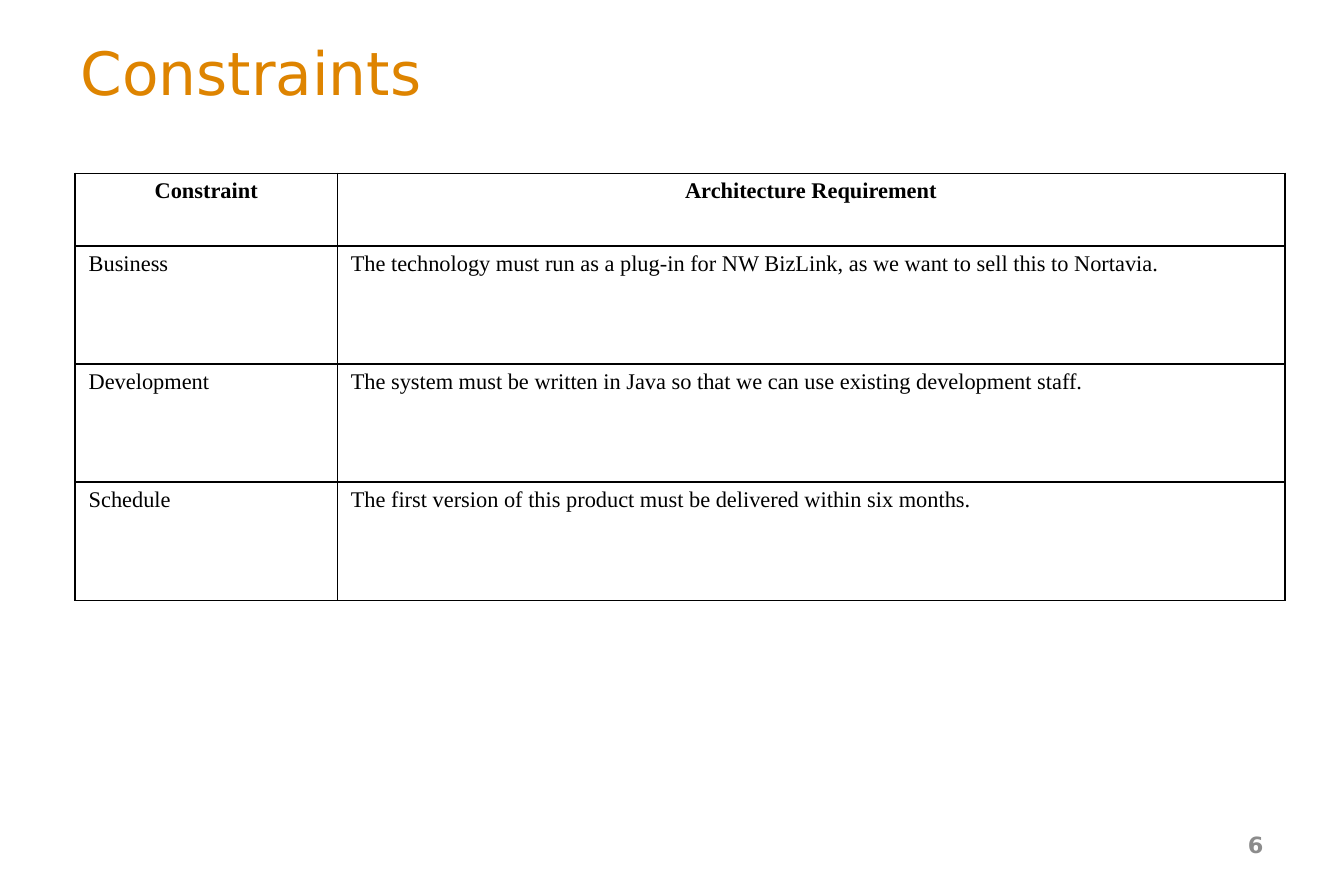
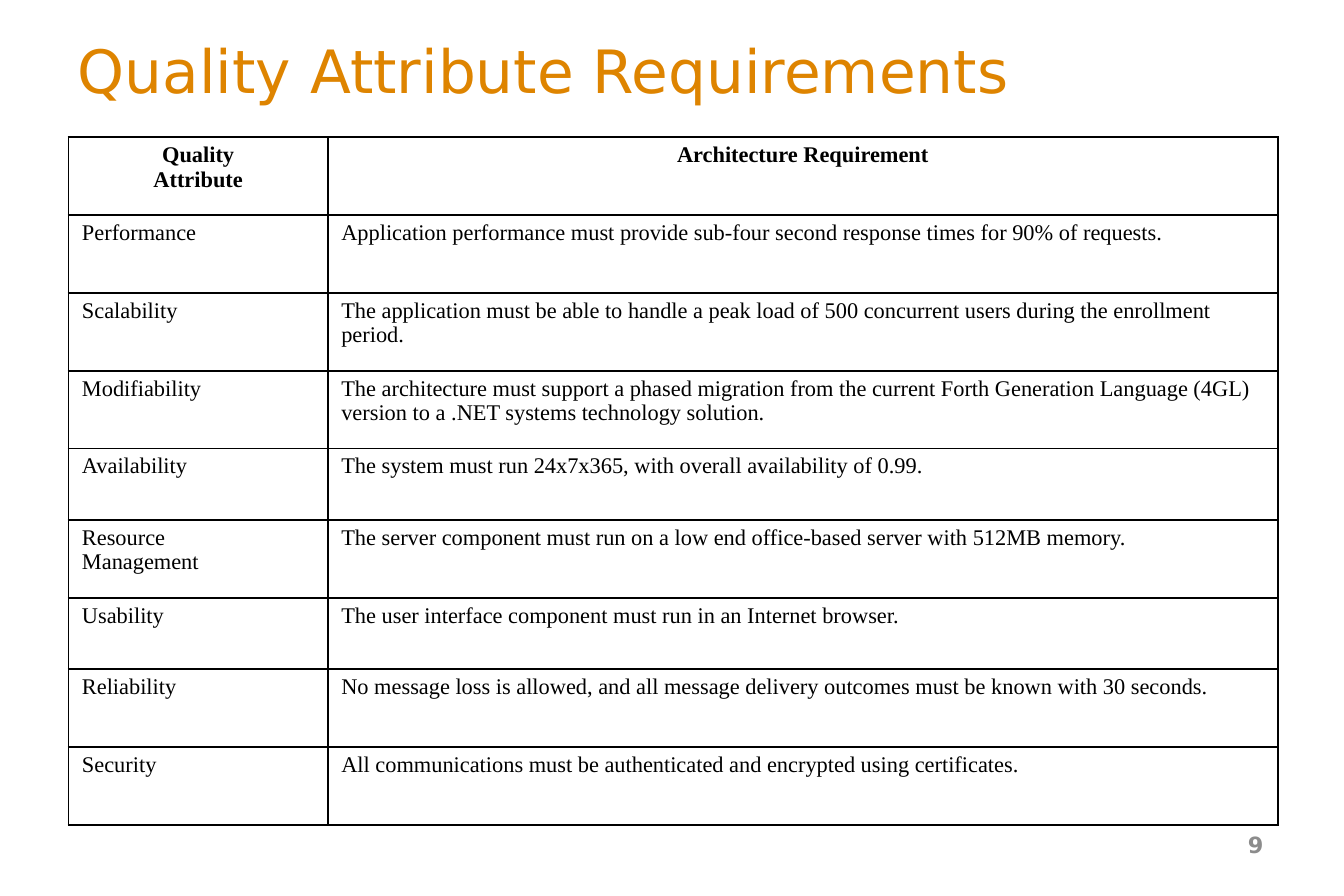
from pptx import Presentation
from pptx.dml.color import RGBColor
from pptx.enum.text import MSO_ANCHOR, MSO_AUTO_SIZE, PP_ALIGN
from pptx.oxml import parse_xml
from pptx.oxml.ns import nsdecls
from pptx.util import Inches, Pt

LEFT, CENTER, RIGHT = PP_ALIGN.LEFT, PP_ALIGN.CENTER, PP_ALIGN.RIGHT
JUSTIFY = PP_ALIGN.JUSTIFY
TOP, MIDDLE = MSO_ANCHOR.TOP, MSO_ANCHOR.MIDDLE

# Shared look
SANS, SERIF = "DejaVu Sans", "Times New Roman"
ORANGE, BLACK, GREY = "DE8400", "000000", "8C8C8C"
TABLE_WIDTH = 9
TITLE_ONLY = 5


def write(frame, text, font=SERIF, size=12, color=BLACK, bold=False, align=LEFT):
    """Fill a text frame, one paragraph for each line of text."""
    frame.text = text
    frame.word_wrap = True
    for paragraph in frame.paragraphs:
        paragraph.alignment = align
        for run in paragraph.runs:
            run.font.name, run.font.size, run.font.bold = font, Pt(size), bold
            run.font.color.rgb = RGBColor.from_string(color)


def outline(cell, color=BLACK, width=1):
    """Draw the four borders of a table cell."""
    for side in ("lnL", "lnR", "lnT", "lnB"):
        cell._tc.get_or_add_tcPr().append(parse_xml(
            f'<a:{side} {nsdecls("a")} w="{Pt(width)}"><a:solidFill>'
            f'<a:srgbClr val="{color}"/></a:solidFill></a:{side}>'))


# Content of the slides
pages = [
    dict(
        title="Constraints", title_at=(0.5, 0.27), title_height=0.53, number="6",
        table_at=(0.56, 1.29), first_column=1.95,
        row_heights=[0.54] + [0.88] * 3,
        rows=[
            ("Constraint", "Architecture Requirement"),
            ("Business", "The technology must run as a plug-in for NW BizLink, "
                         "as we want to sell this to Nortavia."),
            ("Development", "The system must be written in Java so that we can use "
                            "existing development staff."),
            ("Schedule", "The first version of this product must be delivered "
                         "within six months."),
        ]),
    dict(
        title="Quality Attribute Requirements", title_at=(0.48, 0.24),
        title_height=0.55, number="9",
        table_at=(0.51, 1.02), first_column=1.93,
        row_heights=[0.58] * 4 + [0.53, 0.58, 0.53] + [0.58] * 2,
        rows=[
            ("Quality\nAttribute", "Architecture Requirement"),
            ("Performance", "Application performance must provide sub-four second "
                            "response times for 90% of requests."),
            ("Scalability", "The application must be able to handle a peak load of 500 "
                            "concurrent users during the enrollment period."),
            ("Modifiability", "The architecture must support a phased migration from the "
                              "current Forth Generation Language (4GL) version to a .NET "
                              "systems technology solution."),
            ("Availability", "The system must run 24x7x365, with overall availability "
                             "of 0.99."),
            ("Resource\nManagement", "The server component must run on a low end "
                                     "office-based server with 512MB memory."),
            ("Usability", "The user interface component must run in an Internet browser."),
            ("Reliability", "No message loss is allowed, and all message delivery "
                            "outcomes must be known with 30 seconds."),
            ("Security", "All communications must be authenticated and encrypted "
                         "using certificates."),
        ]),
]

deck = Presentation()
deck.slide_width, deck.slide_height = Inches(10), Inches(6.67)

for page in pages:
    slide = deck.slides.add_slide(deck.slide_layouts[TITLE_ONLY])

    # Title
    title = slide.shapes.title
    title.left, title.top = map(Inches, page["title_at"])
    title.width, title.height = Inches(TABLE_WIDTH), Inches(page["title_height"])
    write(title.text_frame, page["title"], font=SANS, size=32, color=ORANGE)
    title.text_frame.vertical_anchor = MIDDLE
    title.text_frame.auto_size = MSO_AUTO_SIZE.NONE

    # Requirements table
    left, top = page["table_at"]
    heights = page["row_heights"]
    requirements = slide.shapes.add_table(
        len(heights), 2, Inches(left), Inches(top),
        Inches(TABLE_WIDTH), Inches(sum(heights))).table
    requirements.first_row = requirements.horz_banding = False
    requirements.columns[0].width = Inches(page["first_column"])
    requirements.columns[1].width = Inches(TABLE_WIDTH - page["first_column"])
    for r, (height, entries) in enumerate(zip(heights, page["rows"])):
        requirements.rows[r].height = Inches(height)
        for c, entry in enumerate(entries):
            cell = requirements.cell(r, c)
            outline(cell)
            cell.fill.background()
            cell.vertical_anchor = TOP
            cell.margin_left = cell.margin_right = Inches(0.1)
            cell.margin_top = cell.margin_bottom = Inches(0.04)
            write(cell.text_frame, entry, bold=r == 0,
                  align=CENTER if r == 0 else (JUSTIFY, LEFT)[c])

    # Page number
    number = slide.shapes.add_textbox(
        Inches(7.17), Inches(6.07), Inches(2.33), Inches(0.44)).text_frame
    write(number, page["number"], font=SANS, color=GREY, bold=True, align=RIGHT)
    number.vertical_anchor = MIDDLE

deck.save("out.pptx")
